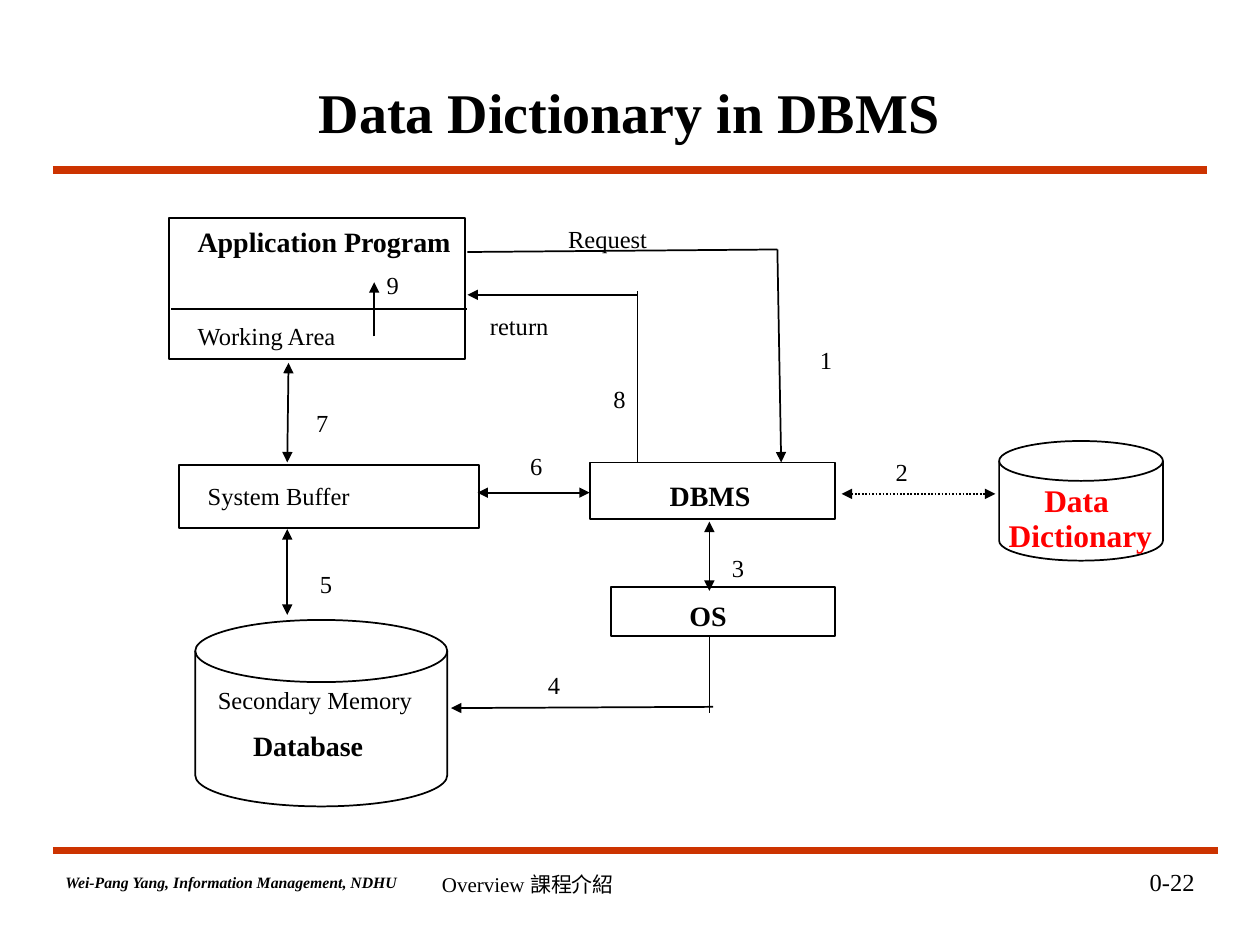
from dataclasses import dataclass

from lxml import etree
from pptx import Presentation
from pptx.dml.color import RGBColor
from pptx.enum import dml, shapes, text
from pptx.oxml import ns
from pptx.util import Inches, Pt


@dataclass(frozen=True)
class Theme:
    """Colours, font and type sizes of the slide."""
    font: str = "Times New Roman"
    ink: str = "000000"
    rule: str = "CC3300"
    alert: str = "FF0000"
    title: int = 32
    major: int = 18
    name: int = 16
    label: int = 14
    footer: int = 12
    credit: int = 9
    thin: float = 1
    thick: float = 4.5


@dataclass
class Region:
    """A part of the slide whose contents are placed from its corner."""
    slide: object
    left: float
    top: float

    def at(self, x, y):
        """Return slide lengths for a point of the region."""
        return Inches(self.left + x), Inches(self.top + y)


THEME = Theme()
LEFT, CENTER, RIGHT = text.PP_ALIGN.LEFT, text.PP_ALIGN.CENTER, text.PP_ALIGN.RIGHT
RECT = shapes.MSO_SHAPE.RECTANGLE
DISK = shapes.MSO_SHAPE.FLOWCHART_MAGNETIC_DISK


def apply(target, values):
    """Set attributes of an object from a dict."""
    for key, value in values.items():
        setattr(target, key, value)


def write(frame, lines, align=LEFT, spacing=None, anchor=text.MSO_ANCHOR.TOP):
    """Fill a text frame with (words, font values, indent) lines."""
    apply(frame, {"word_wrap": True, "auto_size": text.MSO_AUTO_SIZE.NONE,
                  "vertical_anchor": anchor})
    for index, (words, style, indent) in enumerate(lines):
        line = frame.add_paragraph() if index else frame.paragraphs[0]
        run = line.add_run()
        run.text = words
        font = {"name": THEME.font, "size": Pt(THEME.label), "bold": False, **style}
        color = font.pop("color", THEME.ink)
        apply(run.font, font)
        run.font.color.rgb = RGBColor.from_string(color)
        apply(line, {"alignment": align, "line_spacing": spacing,
                     "space_before": font["size"] // 2 if index else Pt(0)})
        if indent:
            line._p.get_or_add_pPr().set("marL", str(Inches(indent)))


def caption(region, x, y, width, height, lines, **layout):
    """Place a text box in a region."""
    box = region.slide.shapes.add_textbox(*region.at(x, y), Inches(width), Inches(height))
    write(box.text_frame, lines, **layout)


def stroke(region, x1, y1, x2, y2, ends="", color=THEME.ink, width=THEME.thin, dash=None):
    """Draw a line, with arrowheads at the named ends."""
    link = region.slide.shapes.add_connector(
        shapes.MSO_CONNECTOR.STRAIGHT, *region.at(x1, y1), *region.at(x2, y2))
    link.line.color.rgb = RGBColor.from_string(color)
    apply(link.line, {"width": Pt(width), "dash_style": dash})
    for end in ends.split():
        etree.SubElement(link.line._ln, ns.qn(f"a:{end}End")).set("type", "triangle")
    etree.SubElement(link._element.spPr, ns.qn("a:effectLst"))


def node(region, kind, width, height):
    """Outline one component of the system."""
    outline = region.slide.shapes.add_shape(
        kind, *region.at(0, 0), Inches(width), Inches(height))
    outline.shadow.inherit = False
    outline.fill.background()
    outline.line.color.rgb = RGBColor.from_string(THEME.ink)
    outline.line.width = Pt(THEME.thin)


def bold(size, color=THEME.ink):
    """Return the font values of a bold name."""
    return {"size": Pt(size), "bold": True, "color": color}


def header(region):
    """Place the title and the rule below it."""
    title = region.slide.shapes.title
    apply(title, dict(zip(("left", "top"), region.at(0.56, 0))))
    apply(title, {"width": Inches(8.03), "height": Inches(0.64)})
    write(title.text_frame, [("Data Dictionary in DBMS", bold(THEME.title), 0)],
          align=CENTER, anchor=text.MSO_ANCHOR.MIDDLE)
    stroke(region, 0, 0.79, 9.16, 0.79, color=THEME.rule, width=THEME.thick)


def footer(region):
    """Place the lower rule, the credit, the chapter and the page number."""
    stroke(region, 0, 0, 9.25, 0, color=THEME.rule, width=THEME.thick)
    caption(region, 0, 0.13, 3.23, 0.25, [
        ("Wei-Pang Yang, Information Management, NDHU",
         {**bold(THEME.credit), "italic": True}, 0)])
    caption(region, 2.99, 0.12, 3.17, 0.5,
            [("Overview 課程介紹", {"size": Pt(THEME.footer)}, 0)])
    caption(region, 7.08, 0.08, 2.08, 0.5, [("0-22", {}, 0)], align=RIGHT)


def application(region):
    """Draw the application program and its working area."""
    node(region, RECT, 2.35, 1.12)
    caption(region, 0.13, 0, 2.37, 0.72, [
        ("Application Program", bold(THEME.name), 0), ("9", {}, 1.5)])
    stroke(region, 0.02, 0.72, 2.37, 0.72)
    caption(region, 0.13, 0.77, 2.16, 0.33, [("Working Area", {}, 0)])
    stroke(region, 1.63, 0.94, 1.63, 0.51, "tail")


def system_buffer(region):
    """Draw the system buffer."""
    node(region, RECT, 2.38, 0.5)
    caption(region, 0.13, 0.08, 2.05, 0.33, [("System Buffer", {}, 0)])


def database(region):
    """Draw the database in secondary memory."""
    node(region, DISK, 2, 1.48)
    caption(region, 0.08, 0.47, 1.89, 0.73, [
        ("Secondary Memory", {}, 0), ("Database", bold(THEME.name), 0.28)])


def dbms(region):
    """Draw the DBMS."""
    node(region, RECT, 1.95, 0.45)
    caption(region, 0.16, 0.08, 1.59, 0.37, [("DBMS", bold(THEME.name), 0)], align=CENTER)


def operating_system(region):
    """Draw the operating system."""
    node(region, RECT, 1.78, 0.39)
    caption(region, 0.18, 0.04, 1.18, 0.37, [("OS", bold(THEME.name), 0)], align=CENTER)


def data_dictionary(region):
    """Draw the data dictionary."""
    node(region, DISK, 1.3, 0.95)
    name = bold(THEME.major, THEME.alert)
    caption(region, -0.1, 0.4, 1.43, 0.56,
            [("Data", name, 0), ("Dictionary", name, 0.06)], align=CENTER, spacing=0.5)


def flows(region):
    """Draw the numbered steps between the components."""
    both = "head tail"
    for step in (
        (0.95, 1.15, 0.94, 1.94, both),
        (0.94, 2.47, 0.94, 3.15, both),
        (2.45, 2.18, 3.34, 2.18, both),
        (4.29, 2.41, 4.29, 2.96, both),
        (4.29, 3.32, 4.29, 3.93),
        (4.32, 3.88, 2.24, 3.89, "tail"),
        (3.72, 1.94, 3.72, 0.58),
        (3.72, 0.61, 2.37, 0.61, "tail"),
        (2.37, 0.27, 4.83, 0.25),
        (4.83, 0.25, 4.86, 1.94, "tail"),
    ):
        stroke(region, *step)
    stroke(region, 5.34, 2.19, 6.56, 2.19, both, dash=dml.MSO_LINE.ROUND_DOT)
    for words, x, y, width in (
        ("Request", 3.07, 0, 1.51), ("return", 2.45, 0.69, 1.16),
        ("1", 5.07, 0.96, 0.7), ("2", 5.67, 1.85, 0.57), ("3", 4.37, 2.61, 0.84),
        ("4", 2.91, 3.54, 0.38), ("5", 1.1, 2.74, 0.86), ("6", 2.77, 1.8, 0.43),
        ("7", 1.07, 1.46, 0.81), ("8", 3.43, 1.27, 0.34),
    ):
        caption(region, x, y, width, 0.33, [(words, {}, 0)])


def build():
    """Build and save the presentation."""
    deck = Presentation()
    apply(deck, {"slide_width": Inches(10), "slide_height": Inches(7.5)})
    slide = deck.slides.add_slide(deck.slide_layouts[5])
    for draw, left, top in (
        (header, 0.42, 0.56), (footer, 0.42, 6.75),
        (application, 1.34, 1.73), (system_buffer, 1.42, 3.69),
        (database, 1.55, 4.92), (dbms, 4.68, 3.67),
        (data_dictionary, 7.93, 3.5), (operating_system, 4.85, 4.66),
        (flows, 1.34, 1.73),
    ):
        draw(Region(slide, left, top))
    deck.save("out.pptx")


build()
